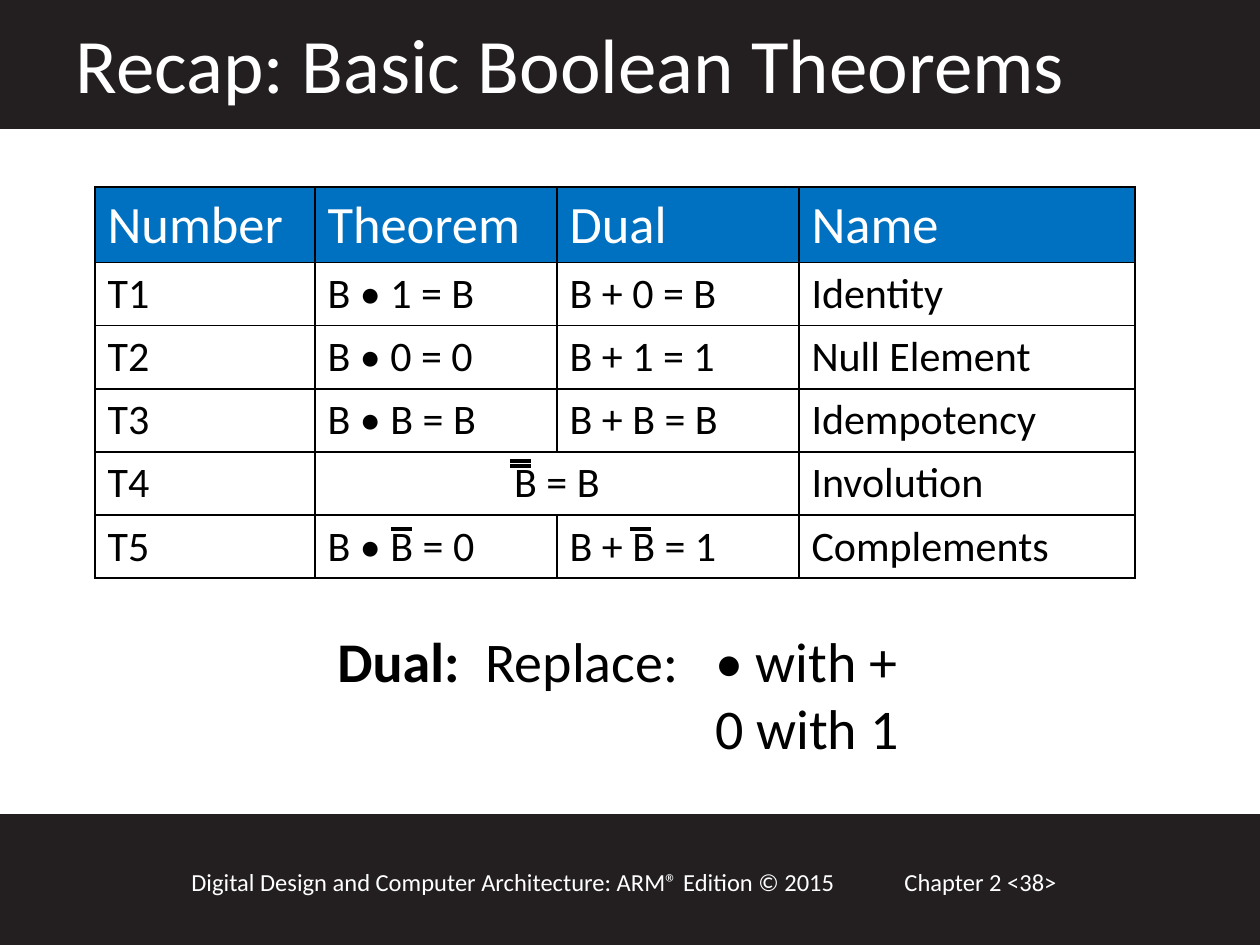
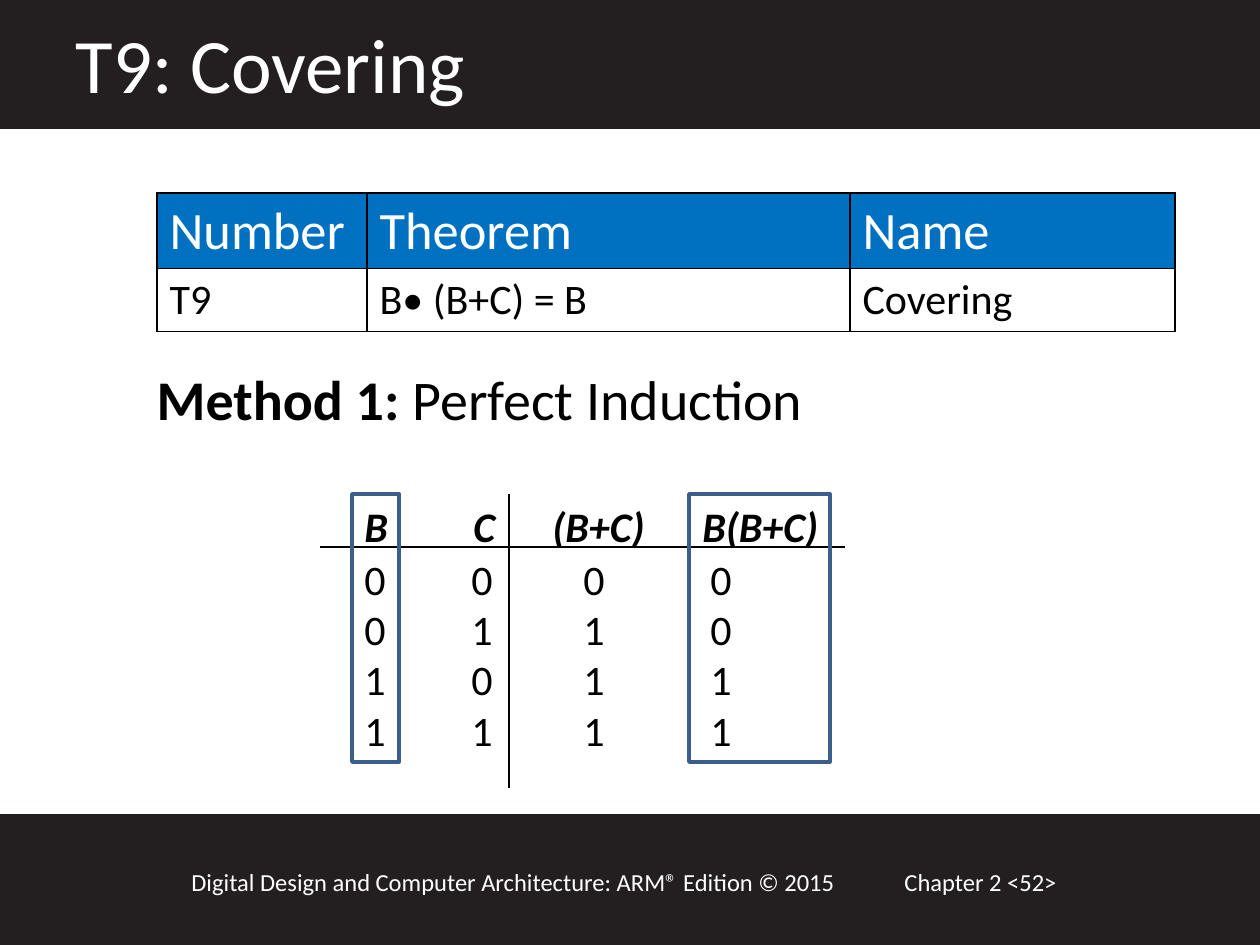
from lxml.etree import SubElement
from pptx import Presentation
from pptx.dml.color import RGBColor
from pptx.enum.shapes import MSO_CONNECTOR as CONN, MSO_SHAPE as SHAPE
from pptx.enum.text import MSO_ANCHOR as ANCHOR, MSO_AUTO_SIZE as AUTO, PP_ALIGN as ALIGN
from pptx.oxml.ns import qn
from pptx.util import Emu, Pt

PX = 914400 / 126
FONT = "Calibri"
BLACK = RGBColor(0x00, 0x00, 0x00)
WHITE = RGBColor(0xFF, 0xFF, 0xFF)
BAND = RGBColor(0x23, 0x1F, 0x20)
HEADER_BLUE = RGBColor(0x00, 0x70, 0xC0)
FRAME_BLUE = RGBColor(0x3A, 0x5F, 0x8C)
TITLE_ONLY, TITLE_BODY = 5, 1
W, H = 1260, 945
FOOTER_Y, FOOTER_H = 861, 43


def px(*lengths):
    return [Emu(round(n * PX)) for n in lengths]


def style(r, size, color=BLACK, bold=False, italic=False):
    r.font.name, r.font.size = FONT, Pt(size)
    r.font.bold, r.font.italic = bold, italic
    r.font.color.rgb = color


def add_text(s, box, lines, size, color=BLACK, bold=False, italic=False, tabs=()):
    sp = s.shapes.add_textbox(*px(*box))
    tf = sp.text_frame
    tf.word_wrap = True
    tf.text = "\n".join(lines)
    for p in tf.paragraphs:
        set_tabs(p, tabs)
        for r in p.runs:
            style(r, size, color, bold, italic)
    return sp


def set_tabs(p, tabs):
    if tabs:
        tab_list = SubElement(p._p.get_or_add_pPr(), qn("a:tabLst"))
        for pos in px(*tabs):
            SubElement(tab_list, qn("a:tab"), pos=str(pos), algn="l")


def lead_with_bold(p, label, rest, size=32):
    """Write a bold label followed by plain text."""
    p.text = label
    p.add_run().text = rest
    for r, bold in zip(p.runs, (True, False)):
        style(r, size, bold=bold)


def add_rect(s, box, line, fill=None):
    sp = s.shapes.add_shape(SHAPE.RECTANGLE, *px(*box))
    sp.shadow.inherit = False
    if fill is None:
        sp.fill.background()
    else:
        sp.fill.solid()
        sp.fill.fore_color.rgb = fill
    sp.line.color.rgb, sp.line.width = line, Pt(2)
    return sp


def add_line(s, x1, y1, x2, y2, width):
    line = s.shapes.add_connector(CONN.STRAIGHT, *px(x1, y1, x2, y2))
    line.line.color.rgb, line.line.width = BLACK, Pt(width)
    SubElement(line._element.spPr, qn("a:effectLst"))


def build_master(prs, s):
    """Draw the bands and book line on a slide, then move them to the master."""
    shared = [
        add_rect(s, (0, 816, W, 129), BAND, BAND),
        add_rect(s, (0, 0, W, 127), BAND, BAND),
        add_text(s, (179, FOOTER_Y, 725, FOOTER_H),
                 ["Digital Design and Computer Architecture: ARM® Edition © 2015"], 14, WHITE),
    ]
    tree = prs.slide_master.shapes.element
    for i, sp in enumerate(shared, 2):
        tree.insert(i, sp._element)


def set_title(s, text, page):
    t = s.shapes.title
    t.left, t.top, t.width, t.height = px(63, 10, 1134, 106)
    tf = t.text_frame
    tf.text = text
    tf.auto_size, tf.vertical_anchor = AUTO.NONE, ANCHOR.TOP
    tf.paragraphs[0].alignment = ALIGN.LEFT
    style(tf.paragraphs[0].runs[0], 44, WHITE)
    add_text(s, (892, FOOTER_Y, 273, FOOTER_H), [f"Chapter 2 <{page}>"], 14, WHITE)


def add_borders(cell):
    tc_pr = cell._tc.get_or_add_tcPr()
    for side in "LRTB":
        ln = SubElement(tc_pr, qn(f"a:ln{side}"), w=str(Pt(1)))
        SubElement(SubElement(ln, qn("a:solidFill")), qn("a:srgbClr"), val=str(BLACK))


def theorem_table(s, x, y, widths, rows, header_h=75, row_h=63):
    heights = [header_h] + [row_h] * (len(rows) - 1)
    frame = s.shapes.add_table(len(rows), len(widths), *px(x, y, sum(widths), sum(heights)))
    table = frame.table
    table.horz_banding = False
    for col, width in zip(table.columns, px(*widths)):
        col.width = width
    for row, height in zip(table.rows, px(*heights)):
        row.height = height
    for i, row in enumerate(rows):
        for j, text in enumerate(row):
            cell = table.cell(i, j)
            add_borders(cell)
            cell.fill.solid()
            cell.fill.fore_color.rgb = WHITE if i else HEADER_BLUE
            cell.text = text
            for r in cell.text_frame.paragraphs[0].runs:
                style(r, 24 if i else 30, BLACK if i else WHITE)
    return table


def basic_theorems(s, x, y):
    table = theorem_table(s, x, y, (220, 242, 242, 336), [
        ("Number", "Theorem", "Dual", "Name"),
        ("T1", "B • 1 = B", "B + 0 = B", "Identity"),
        ("T2", "B • 0 = 0", "B + 1 = 1", "Null Element"),
        ("T3", "B • B = B", "B + B = B", "Idempotency"),
        ("T4", "B = B", "", "Involution"),
        ("T5", "B • B = 0", "B + B = 1", "Complements"),
    ])
    involution = table.cell(4, 1)
    involution.merge(table.cell(4, 2))
    involution.text_frame.paragraphs[0].alignment = ALIGN.CENTER
    for bar_x, bar_y in ((296, 342), (535, 342), (415, 279), (415, 274)):
        add_line(s, x + bar_x, y + bar_y, x + bar_x + 21, y + bar_y, 2)


def dual_rule(s, x, y):
    sp = add_text(s, (x, y, 605, 149), ["", "\t\t0 with 1"], 32, tabs=(148, 378))
    lead_with_bold(sp.text_frame.paragraphs[0], "Dual:", "\tReplace:\t• with +")


def method_body(s, x, y):
    body = s.placeholders[1]
    body.left, body.top, body.width, body.height = px(x, y, 1092, 447)
    body.text_frame.auto_size = AUTO.NONE
    p = body.text_frame.paragraphs[0]
    p_pr = p._p.get_or_add_pPr()
    p_pr.set("marL", "0")
    p_pr.set("indent", "0")
    SubElement(p_pr, qn("a:buNone"))
    p.space_before = Pt(0)
    lead_with_bold(p, "Method 1: ", "Perfect Induction")


def truth_table(s, x, y):
    rule_y = y + 53
    add_line(s, x - 32, rule_y, x + 493, rule_y, 0.75)
    add_line(s, x + 157, y, x + 157, y + 294, 0.75)
    add_text(s, (x, y, 645, 63), ["\t".join(("B", "C", "(B+C)", "B(B+C)"))], 24,
             bold=True, italic=True, tabs=(109, 188, 338))
    rows = []
    for b in (0, 1):
        for c in (0, 1):
            rows.append(f"{b}\t{c}\t{b | c}\t{b & (b | c)}")
    add_text(s, (x, rule_y, 467, 217), rows, 24, tabs=(107, 219, 346))
    for frame_x, frame_w in ((0, 47), (337, 141)):
        add_rect(s, (x + frame_x, y, frame_w, 268), FRAME_BLUE)


def recap_slide(s):
    set_title(s, "Recap: Basic Boolean Theorems", 38)
    basic_theorems(s, 95, 187)
    dual_rule(s, 325, 620)


def covering_slide(s):
    set_title(s, "T9: Covering", 52)
    method_body(s, 144, 358)
    theorem_table(s, 157, 193, (210, 483, 325), [
        ("Number", "Theorem", "Name"),
        ("T9", "B• (B+C) = B", "Covering"),
    ])
    truth_table(s, 352, 494)


def main():
    prs = Presentation()
    prs.slide_width, prs.slide_height = px(W, H)
    recap = prs.slides.add_slide(prs.slide_layouts[TITLE_ONLY])
    build_master(prs, recap)
    recap_slide(recap)
    covering_slide(prs.slides.add_slide(prs.slide_layouts[TITLE_BODY]))
    prs.save("out.pptx")


if __name__ == "__main__":
    main()
